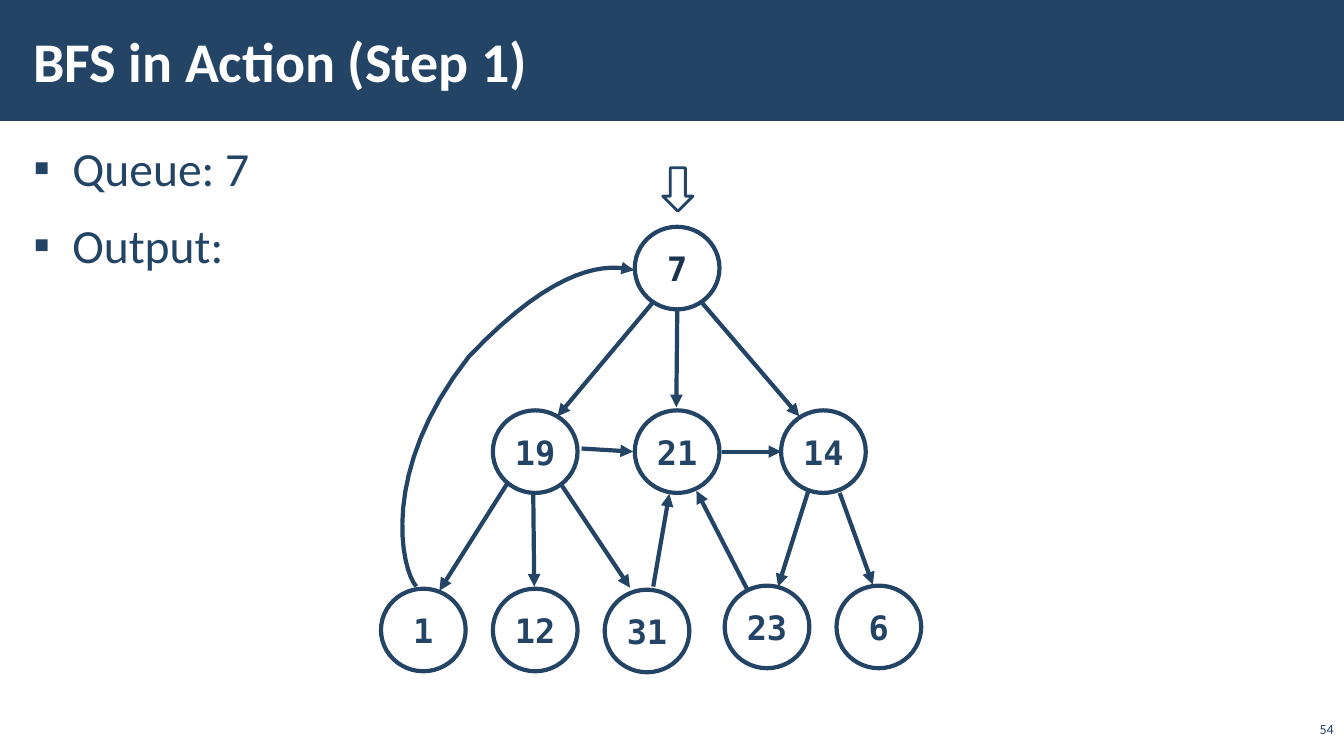
from lxml.etree import SubElement
from pptx import Presentation
from pptx.dml.color import RGBColor
from pptx.enum.shapes import MSO_CONNECTOR as Connector, MSO_SHAPE as Shape
from pptx.enum.text import MSO_ANCHOR as Anchor, PP_ALIGN as Align
from pptx.oxml.ns import qn
from pptx.util import Pt

NAVY = RGBColor(0x23, 0x44, 0x65)
NODE_TEXT = RGBColor(0x24, 0x44, 0x65)
CURRENT_TEXT = RGBColor(0x1A, 0x33, 0x4C)
WHITE = RGBColor(0xFF, 0xFF, 0xFF)
SANS, MONO = "Calibri", "DejaVu Sans Mono"

NODE_WIDTH, NODE_HEIGHT = 60.5, 59
CURRENT = "7"

# Node centres, relative to the graph box
NODES = {
    "7": (211.7, 29.5),
    "19": (110.3, 160.6), "21": (211.7, 160.6), "14": (316.2, 160.6),
    "1": (30.4, 288), "12": (110.3, 288), "31": (190.2, 288.7),
    "23": (275.9, 285.8), "6": (355.8, 285.8),
}
# Straight edges as start and end, relative to the graph box
EDGES = {
    ("7", "19"): (193.8, 54.7, 126.2, 135.4),
    ("7", "21"): (211.8, 58.3, 211.1, 128.9),
    ("7", "14"): (229.8, 54.7, 299, 135.4),
    ("19", "21"): (143.4, 158.4, 180.2, 160.6),
    ("21", "14"): (243.5, 160.6, 286, 160.6),
    ("19", "1"): (90.2, 183.6, 41.9, 259.9),
    ("19", "12"): (108.9, 190.8, 109.6, 257),
    ("19", "31"): (129, 184.3, 178, 257.8),
    ("31", "21"): (194.6, 257, 206.1, 190.8),
    ("23", "21"): (261.5, 258.5, 225.5, 188.6),
    ("14", "23"): (305.4, 188.6, 283.8, 257),
    ("14", "6"): (327.8, 190.1, 351.5, 255.6),
}
# Bézier segments of the edge from 1 back to 7
BACK_EDGE = [
    ((25.4, 257), (14.6, 244.8), (-1.3, 174.2), (62.8, 92.9)),
    ((62.8, 92.9), (126.9, 25.2), (162.9, 26.6), (180.9, 31)),
]
CURVE_STEPS = 16


def set_font(paragraph, name, size, color, bold=False):
    font = paragraph.font
    font.name, font.size, font.bold = name, Pt(size), bold
    font.color.rgb = color


def place(shape, left, top, width, height):
    shape.left, shape.top = Pt(left), Pt(top)
    shape.width, shape.height = Pt(width), Pt(height)


def style_outline(shape, width, opacity):
    """White translucent fill with a navy outline."""
    shape.shadow.inherit = False
    shape.fill.solid()
    shape.fill.fore_color.rgb = WHITE
    color = shape.element.spPr.find(qn("a:solidFill"))[0]
    SubElement(color, qn("a:alpha"), val=str(opacity * 1000))
    shape.line.color.rgb = NAVY
    shape.line.width = Pt(width)


def style_edge(edge):
    edge.line.color.rgb = NAVY
    edge.line.width = Pt(3)
    SubElement(edge.line._get_or_add_ln(), qn("a:tailEnd"), type="triangle")


def add_header(slide, left, top, width, height):
    title = slide.shapes.title
    band = slide.shapes.add_shape(Shape.RECTANGLE, Pt(left), Pt(top), Pt(width), Pt(height))
    band.shadow.inherit = False
    band.fill.solid()
    band.fill.fore_color.rgb = NAVY
    band.line.fill.background()
    title.element.addprevious(band.element)

    place(title, left + 15.1, top + 7.9, 765.4, 69.8)
    frame = title.text_frame
    frame.text = "BFS in Action (Step 1)"
    frame.vertical_anchor = Anchor.MIDDLE
    frame.margin_left = frame.margin_right = Pt(8.64)
    paragraph = frame.paragraphs[0]
    paragraph.alignment = Align.LEFT
    set_font(paragraph, SANS, 40, WHITE, bold=True)


def add_state(slide, left, top, width, height):
    frame = slide.shapes.add_textbox(Pt(left), Pt(top), Pt(width), Pt(height)).text_frame
    frame.word_wrap = True
    frame.margin_left = frame.margin_right = Pt(8.64)
    frame.margin_top = frame.margin_bottom = Pt(2.88)
    frame.text = "Queue: 7\nOutput:"
    for index, paragraph in enumerate(frame.paragraphs):
        properties = paragraph._p.get_or_add_pPr()
        properties.set("marL", str(Pt(28)))
        properties.set("indent", str(-Pt(28)))
        SubElement(properties, qn("a:buFont"), typeface="Arial")
        SubElement(properties, qn("a:buChar"), char="▪")
        paragraph.line_spacing = 1.05
        paragraph.space_before = Pt(6 if index else 0)
        paragraph.space_after = Pt(6)
        set_font(paragraph, SANS, 34, NAVY)


def add_node(slide, label, center_x, center_y):
    node = slide.shapes.add_shape(
        Shape.OVAL, Pt(center_x - NODE_WIDTH / 2), Pt(center_y - NODE_HEIGHT / 2),
        Pt(NODE_WIDTH), Pt(NODE_HEIGHT))
    style_outline(node, 3, 70 if label == CURRENT else 50)
    frame = node.text_frame
    frame.word_wrap = False
    frame.vertical_anchor = Anchor.MIDDLE
    frame.text = label
    paragraph = frame.paragraphs[0]
    paragraph.alignment = Align.CENTER
    set_font(paragraph, MONO, 24, CURRENT_TEXT if label == CURRENT else NODE_TEXT, bold=True)


def bezier_point(segment, t):
    weights = ((1 - t) ** 3, 3 * t * (1 - t) ** 2, 3 * t * t * (1 - t), t ** 3)
    return tuple(sum(w * point[axis] for w, point in zip(weights, segment)) for axis in (0, 1))


def add_graph(slide, left, top):
    # Nodes
    for label, (x, y) in NODES.items():
        add_node(slide, label, left + x, top + y)

    # Straight edges
    for x1, y1, x2, y2 in EDGES.values():
        edge = slide.shapes.add_connector(
            Connector.STRAIGHT, Pt(left + x1), Pt(top + y1), Pt(left + x2), Pt(top + y2))
        style_edge(edge)
        SubElement(edge.element.spPr, qn("a:effectLst"))

    # Curved edge
    points = [BACK_EDGE[0][0]]
    for segment in BACK_EDGE:
        points += [bezier_point(segment, step / CURVE_STEPS) for step in range(1, CURVE_STEPS + 1)]
    points = [(Pt(left + x), Pt(top + y)) for x, y in points]
    builder = slide.shapes.build_freeform(*points[0])
    builder.add_line_segments(points[1:], close=False)
    curve = builder.convert_to_shape()
    curve.shadow.inherit = False
    curve.fill.background()
    style_edge(curve)


def add_pointer(slide, left, top, width, height):
    pointer = slide.shapes.add_shape(Shape.DOWN_ARROW, Pt(left), Pt(top), Pt(width), Pt(height))
    style_outline(pointer, 2, 50)


def add_page_number(slide, left, top, width, height):
    frame = slide.shapes.add_textbox(Pt(left), Pt(top), Pt(width), Pt(height)).text_frame
    frame.word_wrap = True
    frame.vertical_anchor = Anchor.BOTTOM
    frame.text = "54"
    paragraph = frame.paragraphs[0]
    paragraph.alignment = Align.RIGHT
    set_font(paragraph, SANS, 10, NAVY)


def main():
    presentation = Presentation()
    presentation.slide_width, presentation.slide_height = Pt(960), Pt(540)
    slide = presentation.slides.add_slide(presentation.slide_layouts[5])
    add_header(slide, 0, 0, 960, 86.4)
    add_state(slide, 15.1, 94.3, 930.2, 435.6)
    add_graph(slide, 272, 162)
    add_pointer(slide, 473.4, 119.9, 21.6, 31)
    add_page_number(slide, 925.9, 514.1, 33.8, 15.8)
    presentation.save("out.pptx")


if __name__ == "__main__":
    main()
